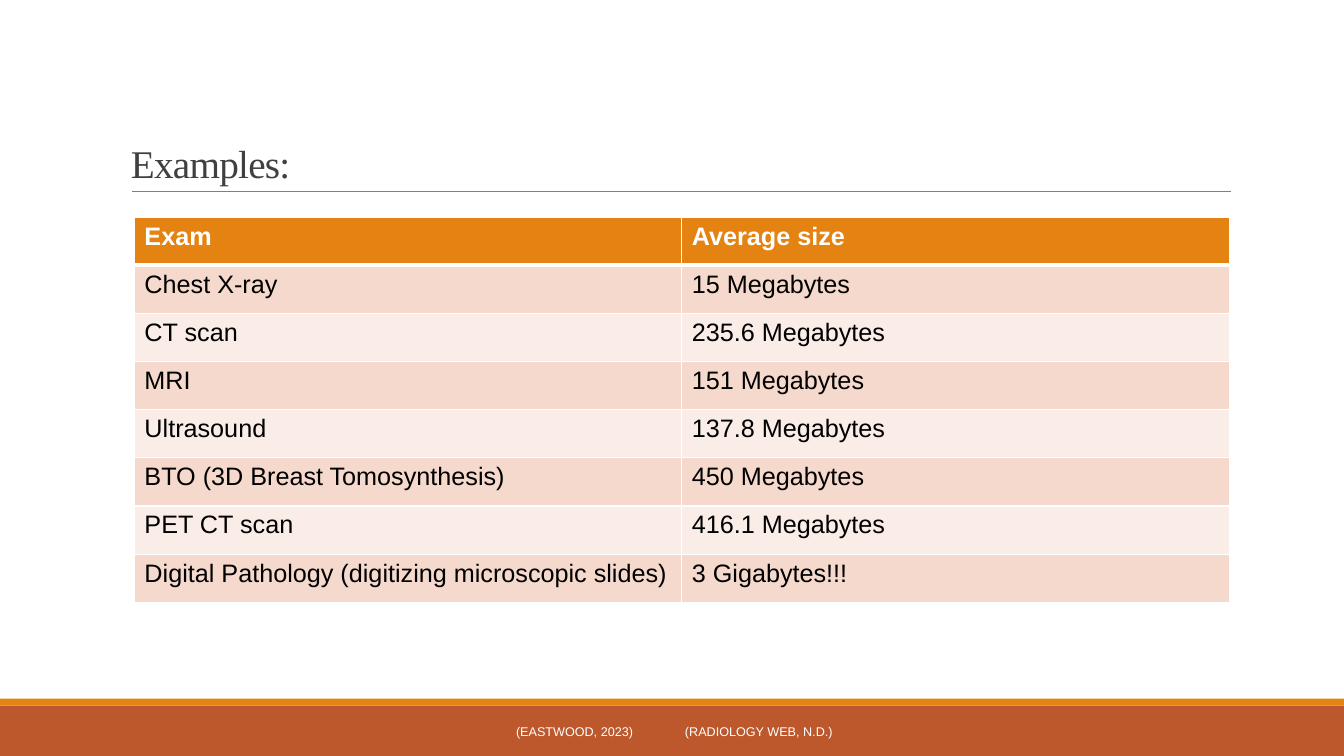
from lxml import etree
from pptx import Presentation
from pptx import util as u
from pptx.dml.color import RGBColor
from pptx.enum import shapes, text
from pptx.oxml.ns import qn

Pt = u.Pt
WIDTH, HEIGHT = 960, 540
ORANGE, RUST, WHITE = "E48312", "BD582C", "FFFFFF"
BANDS = ("F5D9CC", "FAEDE7")
HEADER_HEIGHT, ROW_HEIGHT, COLUMN_WIDTH = 34, 34.4, 391
EXAMS = [
    ("Exam", "Average size"),
    ("Chest X-ray", "15 Megabytes"),
    ("CT scan", "235.6 Megabytes"),
    ("MRI", "151 Megabytes"),
    ("Ultrasound", "137.8 Megabytes"),
    ("BTO (3D Breast Tomosynthesis)", "450 Megabytes"),
    ("PET CT scan", "416.1 Megabytes"),
    ("Digital Pathology (digitizing microscopic slides)", "3 Gigabytes!!!"),
]


def paint(color_format, value):
    color_format.rgb = RGBColor.from_string(value)


def fill_solid(item, color):
    item.fill.solid()
    paint(item.fill.fore_color, color)


def format_text(frame, size, font, color, bold=False):
    for para in frame.paragraphs:
        for span in para.runs:
            span.font.size = Pt(size)
            span.font.name = font
            span.font.bold = bold
            paint(span.font.color, color)


def add_band(page, top, height, color):
    band = page.shapes.add_shape(
        shapes.MSO_SHAPE.RECTANGLE, Pt(0), Pt(top), Pt(WIDTH), Pt(height))
    band.shadow.inherit = False
    fill_solid(band, color)
    band.line.fill.background()


def add_rule(page, left, right, top):
    rule = page.shapes.add_connector(
        shapes.MSO_CONNECTOR.STRAIGHT, Pt(left), Pt(top), Pt(right), Pt(top))
    rule.line.width = Pt(0.5)
    paint(rule.line.color, "808080")
    etree.SubElement(rule.element.spPr, qn("a:effectLst"))


def add_text(page, left, top, width, height, content, anchor):
    box = page.shapes.add_textbox(Pt(left), Pt(top), Pt(width), Pt(height))
    frame = box.text_frame
    frame.word_wrap = True
    frame.vertical_anchor = anchor
    frame.text = content
    return frame


def add_title(page, content):
    frame = add_text(page, 86.4, 22.3, 792, 114.5, content, text.MSO_ANCHOR.BOTTOM)
    format_text(frame, 28, "Times New Roman", "404040")
    para = frame.paragraphs[0]
    para.line_spacing = 0.85
    para.runs[0].font._element.set("spc", "-50")


def add_citations(page, citations):
    frame = add_text(page, 290.2, 508.3, 379.4, 28.8, "\t".join(citations),
                     text.MSO_ANCHOR.MIDDLE)
    frame.margin_left = Pt(78.4)
    format_text(frame, 9, "Arial", WHITE)
    # A tab stop sets the gap between the citations
    properties = frame.paragraphs[0]._p.get_or_add_pPr()
    stops = etree.SubElement(properties, qn("a:tabLst"))
    etree.SubElement(stops, qn("a:tab"), pos=str(Pt(120.7)), algn="l")


def set_borders(cell, widths):
    properties = cell._tc.get_or_add_tcPr()
    for index, (side, width) in enumerate(zip("LRTB", widths)):
        line = etree.Element(qn("a:ln" + side), w=str(Pt(width)))
        solid = etree.SubElement(line, qn("a:solidFill"))
        etree.SubElement(solid, qn("a:srgbClr"), val=WHITE)
        properties.insert(index, line)


def add_exam_table(page, left, top, rows):
    height = HEADER_HEIGHT + ROW_HEIGHT * (len(rows) - 1)
    columns = len(rows[0])
    table = page.shapes.add_table(
        len(rows), columns, Pt(left), Pt(top),
        Pt(COLUMN_WIDTH * columns), Pt(height)).table
    for column in table.columns:
        column.width = Pt(COLUMN_WIDTH)
    for r, values in enumerate(rows):
        header = r == 0
        table.rows[r].height = Pt(HEADER_HEIGHT if header else ROW_HEIGHT)
        for c, value in enumerate(values):
            cell = table.cell(r, c)
            cell.text_frame.text = value
            format_text(cell.text_frame, 18, "Arial",
                        WHITE if header else "000000", header)
            fill_solid(cell, ORANGE if header else BANDS[(r - 1) % 2])
            set_borders(cell, (1, 1, 3 if r == 1 else 1, 3 if header else 1))


def main():
    deck = Presentation()
    deck.slide_width, deck.slide_height = Pt(WIDTH), Pt(HEIGHT)
    page = deck.slides.add_slide(deck.slide_layouts[6])

    # Footer bands and title rule
    add_band(page, 504, 36, RUST)
    add_band(page, 499, 5, ORANGE)
    add_rule(page, 94.3, 879, 136.6)

    # Content
    add_title(page, "Examples:")
    add_citations(page, ("(EASTWOOD, 2023)", "(RADIOLOGY WEB, N.D.)"))
    add_exam_table(page, 96, 155.5, EXAMS)

    deck.save("out.pptx")


if __name__ == "__main__":
    main()
